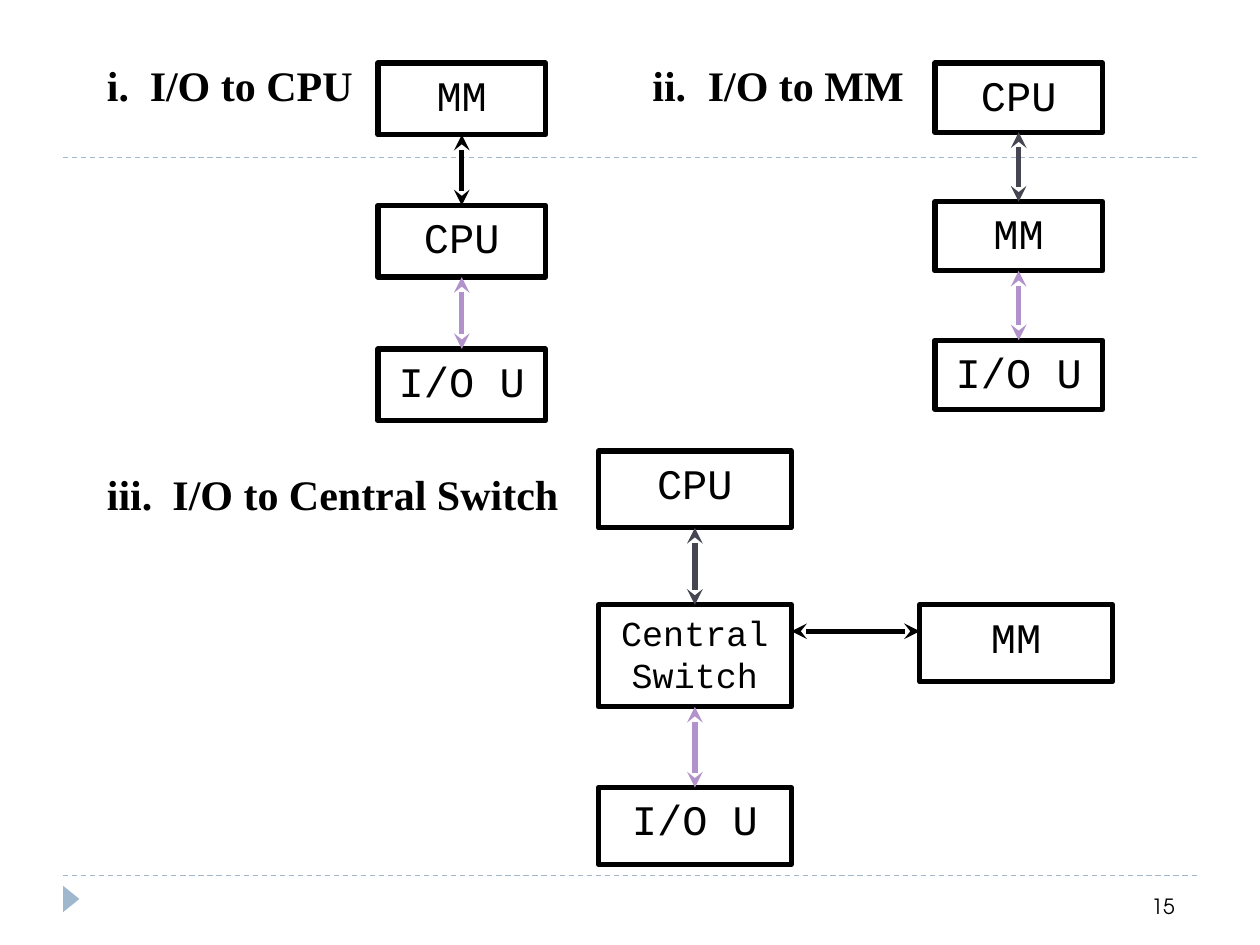
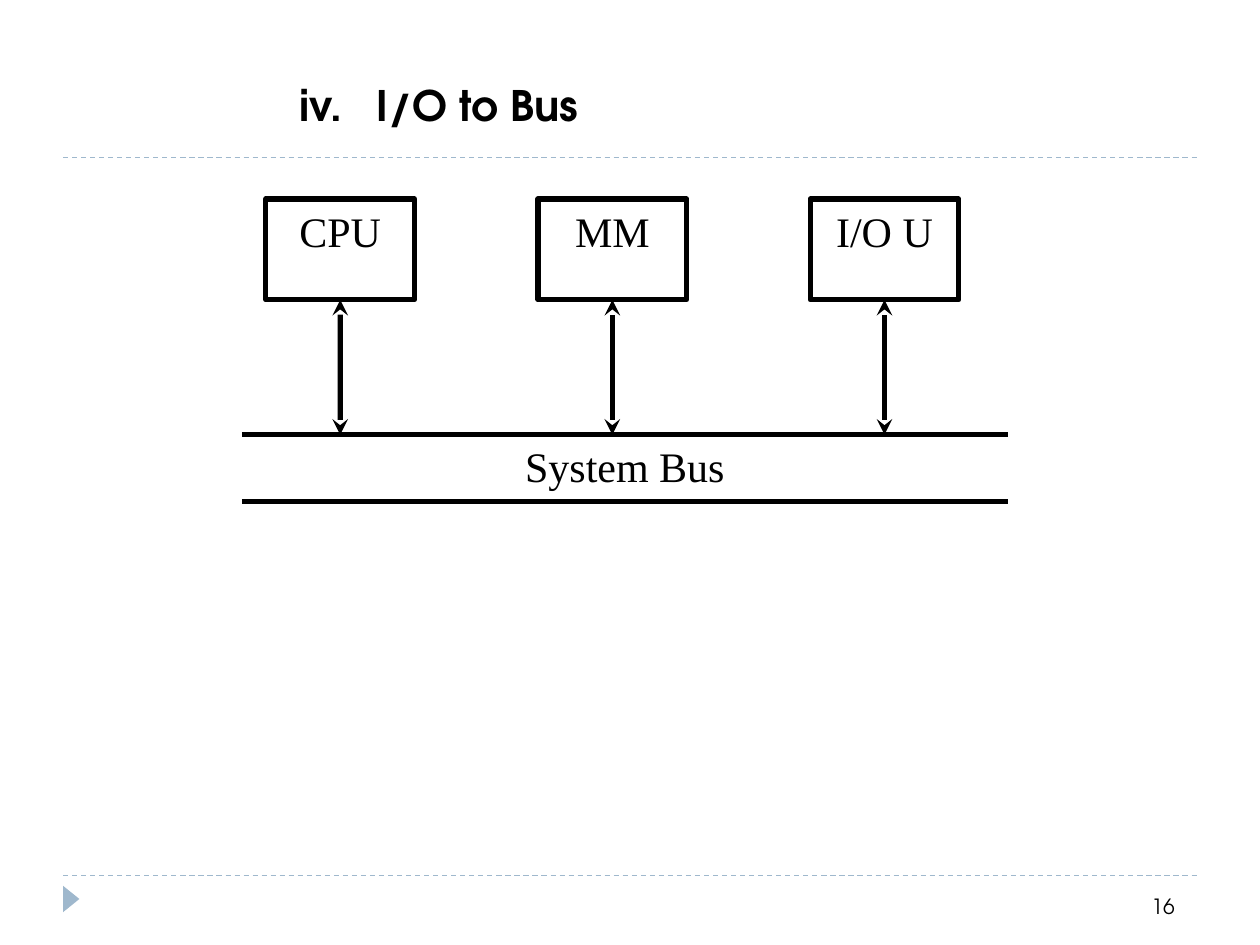
"""Build two slides that show the ways to attach I/O units to a computer."""
from lxml import etree
from pptx import Presentation
from pptx.dml.color import RGBColor
from pptx.enum import dml, shapes, text
from pptx.oxml.ns import qn
from pptx.util import Inches, Pt

BLACK, WHITE, SLATE, LILAC, PALE_BLUE = "000000", "FFFFFF", "464653", "B292CA", "9FB8CD"
SERIF, MONO, SANS = "Times New Roman", "Courier New", "TeX Gyre Adventor"

HEADINGS = [
    (("i.", "I/O to CPU"), (0.75, 0.42, 2.25, 0.5), 0.34),
    (("ii.", "I/O to MM"), (5.08, 0.42, 2.33, 0.5), 0.44),
    (("iii.", "I/O to Central Switch"), (0.75, 3.67, 3.92, 0.5), 0.52),
]
BUS_HEADING = (("iv.", "I/O to Bus"), (2.28, 0.58, 3.55, 0.5), 0.61)

STACKS = [
    {"left": 3, "width": 1.33, "arrows": (BLACK, LILAC),
     "boxes": [("MM", 0.5, 0.57, 24), ("CPU", 1.63, 0.57, 24), ("I/O U", 2.77, 0.57, 24)]},
    {"left": 7.42, "width": 1.33, "arrows": (SLATE, LILAC),
     "boxes": [("CPU", 0.5, 0.55, 24), ("MM", 1.6, 0.55, 24), ("I/O U", 2.7, 0.55, 24)]},
    {"left": 4.75, "width": 1.53, "arrows": (SLATE, LILAC),
     "boxes": [("CPU", 3.58, 0.61, 24), ("Central Switch", 4.8, 0.81, 20),
               ("I/O U", 6.25, 0.61, 24)]},
]
SWITCH_MEMORY = ("MM", (7.3, 4.8, 1.53, 0.61))
SWITCH_ARROW = (6.28, 5.01, 7.3, 5.01)

BUS_UNITS = ["CPU", "MM", "I/O U"]
UNIT_LEFT, UNIT_TOP, UNIT_WIDTH, UNIT_HEIGHT, UNIT_STEP = 2.11, 1.58, 1.18, 0.8, 2.16
BUS_LEFT, BUS_RIGHT, BUS_TOP, BUS_BOTTOM = 1.92, 8, 3.45, 3.98


def color(value):
    return RGBColor.from_string(value)


def write(shape, words, font, size, bold=False, align=text.PP_ALIGN.LEFT, tab=None):
    frame = shape.text_frame
    frame.word_wrap = True
    frame.vertical_anchor = text.MSO_ANCHOR.TOP
    paragraph = frame.paragraphs[0]
    paragraph.text = words
    paragraph.alignment = align
    if tab:
        stops = etree.SubElement(paragraph._p.get_or_add_pPr(), qn("a:tabLst"))
        etree.SubElement(stops, qn("a:tab"), pos=str(Inches(tab)), algn="l")
    paragraph.font.name = font
    paragraph.font.size = Pt(size)
    paragraph.font.bold = bold
    paragraph.font.color.rgb = color(BLACK)


def add_text(slide, words, place, font, size, **style):
    write(slide.shapes.add_textbox(*map(Inches, place)), words, font, size, **style)


def add_heading(slide, parts, place, tab, font):
    add_text(slide, "\t".join(parts), place, font, 24, bold=True, tab=tab)


def add_box(slide, label, place, font, size=24):
    box = slide.shapes.add_shape(shapes.MSO_SHAPE.RECTANGLE, *map(Inches, place))
    box.shadow.inherit = False
    box.fill.solid()
    box.fill.fore_color.rgb = color(WHITE)
    box.line.color.rgb = color(BLACK)
    box.line.width = Pt(3)
    write(box, label, font, size, align=text.PP_ALIGN.CENTER)
    return box


def add_line(slide, ends, line_color=BLACK, width=3):
    line = slide.shapes.add_connector(shapes.MSO_CONNECTOR.STRAIGHT, *map(Inches, ends))
    line.line.color.rgb = color(line_color)
    line.line.width = Pt(width)
    etree.SubElement(line._element.spPr, qn("a:effectLst"))
    return line


def add_arrow(slide, ends, line_color=BLACK):
    arrow = add_line(slide, ends, line_color)
    outline = arrow.line._get_or_add_ln()
    for end in ("a:headEnd", "a:tailEnd"):
        etree.SubElement(outline, qn(end), type="stealth")
    return arrow


def add_stack(slide, left, width, arrows, boxes):
    drawn = [add_box(slide, label, (left, top, width, height), MONO, size)
             for label, top, height, size in boxes]
    for upper, lower, arrow_color in zip(drawn, drawn[1:], arrows):
        arrow = add_arrow(slide, (0, 0, 0, 0), arrow_color)
        arrow.begin_connect(lower, 0)
        arrow.end_connect(upper, 2)


def add_base_slide(presentation, number):
    slide = presentation.slides.add_slide(presentation.slide_layouts[6])
    for y in (6.95, 1.25):
        rule = add_line(slide, (0.5, y, 9.5, y), PALE_BLUE, 0.75)
        rule.line.dash_style = dml.MSO_LINE.DASH
    marker = slide.shapes.add_shape(shapes.MSO_SHAPE.ISOSCELES_TRIANGLE,
                                    *map(Inches, (0.46, 7.07, 0.21, 0.13)))
    marker.rotation = 90
    marker.shadow.inherit = False
    marker.fill.solid()
    marker.fill.fore_color.rgb = color(PALE_BLUE)
    marker.line.fill.background()
    add_text(slide, str(number), (9.04, 7.04, 0.9, 0.33), SANS, 12)
    return slide


def build_direct_slide(presentation):
    slide = add_base_slide(presentation, 15)
    for heading in HEADINGS:
        add_heading(slide, *heading, SERIF)
    for stack in STACKS:
        add_stack(slide, **stack)
    add_box(slide, *SWITCH_MEMORY, MONO)
    add_arrow(slide, SWITCH_ARROW)


def build_bus_slide(presentation):
    slide = add_base_slide(presentation, 16)
    add_heading(slide, *BUS_HEADING, SANS)
    for y in (BUS_TOP, BUS_BOTTOM):
        add_line(slide, (BUS_LEFT, y, BUS_RIGHT, y))
    for index, label in enumerate(BUS_UNITS):
        left = UNIT_LEFT + index * UNIT_STEP
        center = left + UNIT_WIDTH / 2
        unit = add_box(slide, label, (left, UNIT_TOP, UNIT_WIDTH, UNIT_HEIGHT), SERIF)
        arrow = add_arrow(slide, (center, BUS_TOP, center, UNIT_TOP + UNIT_HEIGHT))
        arrow.end_connect(unit, 2)
    add_text(slide, "System Bus", (3.88, BUS_TOP, 2.16, 0.8), SERIF, 24,
             align=text.PP_ALIGN.CENTER)


def main():
    presentation = Presentation()
    presentation.slide_width = Inches(10)
    presentation.slide_height = Inches(7.5)
    build_direct_slide(presentation)
    build_bus_slide(presentation)
    presentation.save("out.pptx")


if __name__ == "__main__":
    main()
